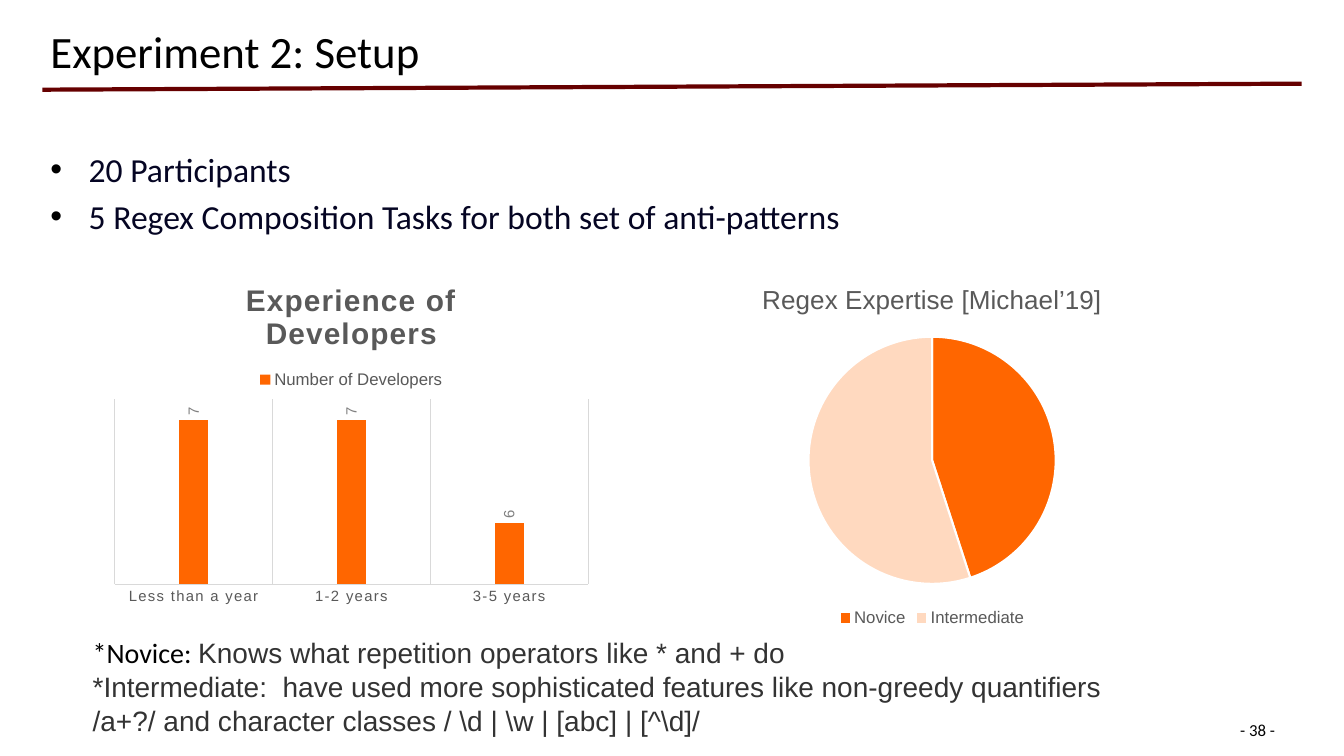
"""Builds the experiment setup slide with its two participant charts."""
from dataclasses import dataclass
from typing import Any, Optional

from lxml import etree
from pptx import Presentation
from pptx import util as u
from pptx.chart.data import CategoryChartData
from pptx.dml.color import RGBColor
from pptx.enum import chart as ch
from pptx.enum import shapes, text
from pptx.oxml import ns

COLORS = {
    "black": "000000", "navy": "050523", "rule": "660000", "gray": "595959",
    "label": "808080", "grid": "D9D9D9", "orange": "FF6600",
    "peach": "FFD9BF", "note": "333333", "white": "FFFFFF",
}


@dataclass(frozen=True)
class Style:
    """Font settings of a run."""
    size: float
    color: str
    name: str = "Calibri"
    bold: bool = False


@dataclass(frozen=True)
class ChartSpec:
    """Content and frame of a chart."""
    kind: Any
    box: tuple[float, float, float, float]
    title: str
    title_style: Style
    legend: Any
    series: str
    values: dict[str, int]
    title_spacing: Optional[int] = None


TITLE = Style(32, "black")
BULLET = Style(24, "navy")
NOTE_HEAD = Style(20, "black")
NOTE = Style(20, "note", "Arial")
PAGE = Style(12, "black")
CHART = Style(10, "black", "Arial")
LEGEND = Style(12, "gray", "Arial")
AXIS = Style(10.6, "gray", "Arial")
VALUE = Style(10.6, "label", "Arial")

BULLETS = [
    "20 Participants",
    "5 Regex Composition Tasks for both set of anti-patterns",
]
NOTES = [
    [("*Novice: ", NOTE_HEAD),
     ("Knows what repetition operators like * and + do", NOTE)],
    [("*Intermediate:  have used more sophisticated features like non-greedy "
      r"quantifiers /a+?/ and character classes / \d | \w | [abc] | [^\d]/", NOTE)],
]
EXPERIENCE = ChartSpec(
    ch.XL_CHART_TYPE.COLUMN_CLUSTERED, (1.04, 2.62, 4.89, 3.45),
    "Experience of Developers", Style(21.3, "gray", "Arial", True),
    ch.XL_LEGEND_POSITION.TOP, "Number of Developers",
    {"Less than a year": 7, "1-2 years": 7, "3-5 years": 6}, 100)
EXPERTISE = ChartSpec(
    ch.XL_CHART_TYPE.PIE, (6.91, 2.63, 4.67, 3.63),
    "Regex Expertise [Michael’19]", Style(18.6, "gray", "Arial"),
    ch.XL_LEGEND_POSITION.BOTTOM, "Series 1", {"Novice": 45, "Intermediate": 55})


def rgb(name: str) -> RGBColor:
    """Return a named colour."""
    return RGBColor.from_string(COLORS[name])


def set_font(font: Any, style: Style) -> None:
    """Apply a style to a font."""
    font.size, font.name, font.bold = u.Pt(style.size), style.name, style.bold
    font.color.rgb = rgb(style.color)


def add_run(p: Any, words: str, style: Style) -> Any:
    """Add a styled run to a paragraph."""
    r = p.add_run()
    r.text = words
    set_font(r.font, style)
    return r


def place(sp: Any, *box: float) -> Any:
    """Move a shape and return its wrapped text frame."""
    sp.left, sp.top, sp.width, sp.height = map(u.Inches, box)
    tf = sp.text_frame
    tf.word_wrap, tf.auto_size = True, text.MSO_AUTO_SIZE.NONE
    return tf


def next_paragraph(tf: Any, index: int) -> Any:
    """Return the first paragraph or a new one."""
    return tf.add_paragraph() if index else tf.paragraphs[0]


def add_bullet(p: Any) -> None:
    """Give a paragraph a hanging black bullet."""
    pPr = p._p.get_or_add_pPr()
    pPr.set("marL", str(u.Inches(0.38)))
    pPr.set("indent", str(-u.Inches(0.38)))
    color = etree.SubElement(pPr, ns.qn("a:buClr"))
    etree.SubElement(color, ns.qn("a:srgbClr"), val=COLORS["black"])
    etree.SubElement(pPr, ns.qn("a:buFont"), typeface="Arial")
    etree.SubElement(pPr, ns.qn("a:buChar"), char="•")


def add_chart(s: Any, spec: ChartSpec) -> Any:
    """Add a titled chart with its legend."""
    data = CategoryChartData()
    data.categories = list(spec.values)
    data.add_series(spec.series, list(spec.values.values()))
    chart = s.shapes.add_chart(spec.kind, *map(u.Inches, spec.box), data).chart
    set_font(chart.font, CHART)
    chart.has_title = chart.has_legend = True
    r = add_run(chart.chart_title.text_frame.paragraphs[0], spec.title, spec.title_style)
    if spec.title_spacing:
        r.font._element.set("spc", str(spec.title_spacing))
    chart.chart_title.include_in_layout = False
    chart.legend.position = spec.legend
    chart.legend.include_in_layout = False
    set_font(chart.legend.font, LEGEND)
    return chart


def format_columns(chart: Any) -> None:
    """Format the column chart's bars, labels and axes."""
    plot = chart.plots[0]
    plot.vary_by_categories, plot.gap_width, plot.overlap = False, 444, -90
    fill = plot.series[0].format.fill
    fill.solid()
    fill.fore_color.rgb = rgb("orange")
    plot.has_data_labels = True
    labels = plot.data_labels
    labels.show_value, labels.position = True, ch.XL_LABEL_POSITION.OUTSIDE_END
    set_font(labels.font, VALUE)
    labels._element.find(ns.qn("c:txPr")).find(ns.qn("a:bodyPr")).set("rot", "-5400000")
    axis = chart.category_axis
    axis.has_major_gridlines = True
    axis.major_tick_mark = ch.XL_TICK_MARK.NONE
    set_font(axis.tick_labels.font, AXIS)
    axis.tick_labels.font._element.set("spc", "100")
    for line in (axis.format.line, axis.major_gridlines.format.line):
        line.color.rgb, line.width = rgb("grid"), u.Pt(0.75)
    scale = chart.value_axis
    scale.minimum_scale, scale.maximum_scale = 5.4, 7.2
    scale.has_major_gridlines = scale.visible = False


def format_pie(chart: Any) -> None:
    """Format the pie slices."""
    plot = chart.plots[0]
    plot.vary_by_categories = True
    for i, color in enumerate(("orange", "peach")):
        look = plot.series[0].points[i].format
        look.fill.solid()
        look.fill.fore_color.rgb = rgb(color)
        look.line.color.rgb, look.line.width = rgb("white"), u.Pt(1.5)


def main() -> None:
    """Build and save the slide."""
    prs = Presentation()
    prs.slide_width, prs.slide_height = u.Inches(13.33), u.Inches(7.5)
    s = prs.slides.add_slide(prs.slide_layouts[1])

    tf = place(s.shapes.add_textbox(0, 0, 0, 0), 12.25, 7.12, 0.51, 0.24)
    tf.margin_left = tf.margin_right = u.Inches(0.05)
    tf.margin_top = tf.margin_bottom = u.Inches(0.02)
    tf.word_wrap = False
    add_run(tf.paragraphs[0], "- 38 -", PAGE)

    rule = s.shapes.add_connector(
        shapes.MSO_CONNECTOR.STRAIGHT, *map(u.Inches, (0.42, 0.89, 12.91, 0.83)))
    rule.line.color.rgb, rule.line.width = rgb("rule"), u.Pt(3)
    etree.SubElement(rule._element.spPr, ns.qn("a:effectLst"))

    tf = place(s.placeholders[1], 0.4, 1.43, 12.48, 5.65)
    for i, words in enumerate(BULLETS):
        p = next_paragraph(tf, i)
        add_bullet(p)
        p.space_before = u.Pt(4.8 if i else 0)
        add_run(p, words, BULLET)

    tf = place(s.shapes.title, 0.4, 0.13, 11.73, 0.7)
    tf.vertical_anchor = text.MSO_ANCHOR.BOTTOM
    p = tf.paragraphs[0]
    p.alignment, p.line_spacing = text.PP_ALIGN.LEFT, 0.9
    add_run(p, "Experiment 2: Setup", TITLE)

    format_columns(add_chart(s, EXPERIENCE))
    format_pie(add_chart(s, EXPERTISE))

    tf = place(s.shapes.add_textbox(0, 0, 0, 0), 0.82, 6.26, 10.89, 1.11)
    for i, runs in enumerate(NOTES):
        p = next_paragraph(tf, i)
        for words, style in runs:
            add_run(p, words, style)
    prs.save("out.pptx")


if __name__ == "__main__":
    main()
